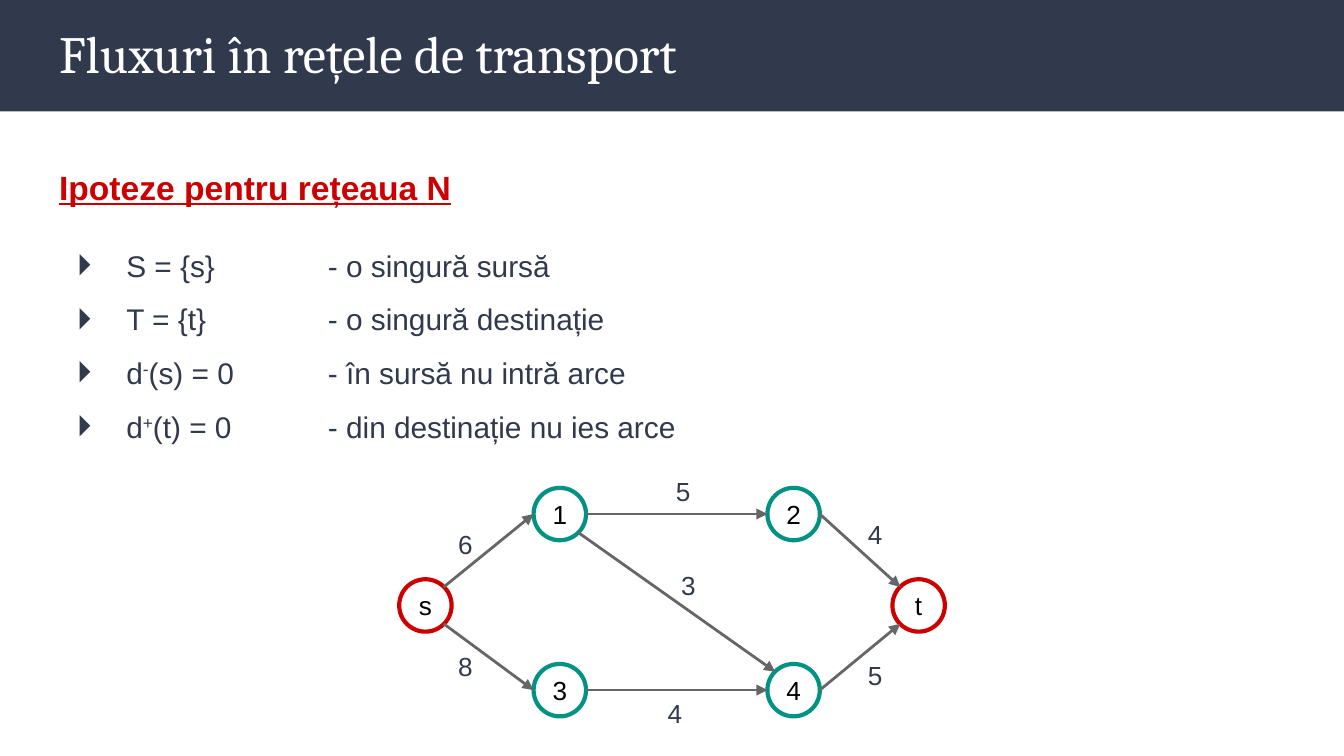
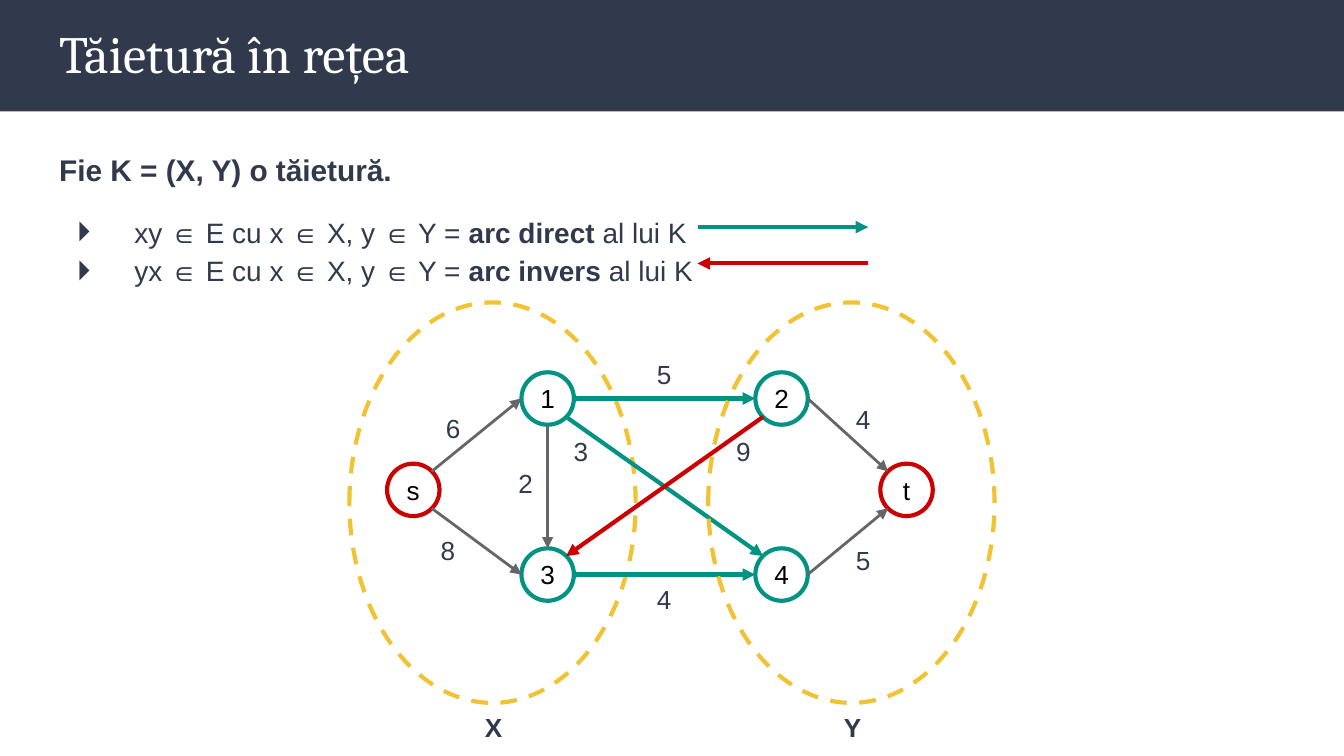
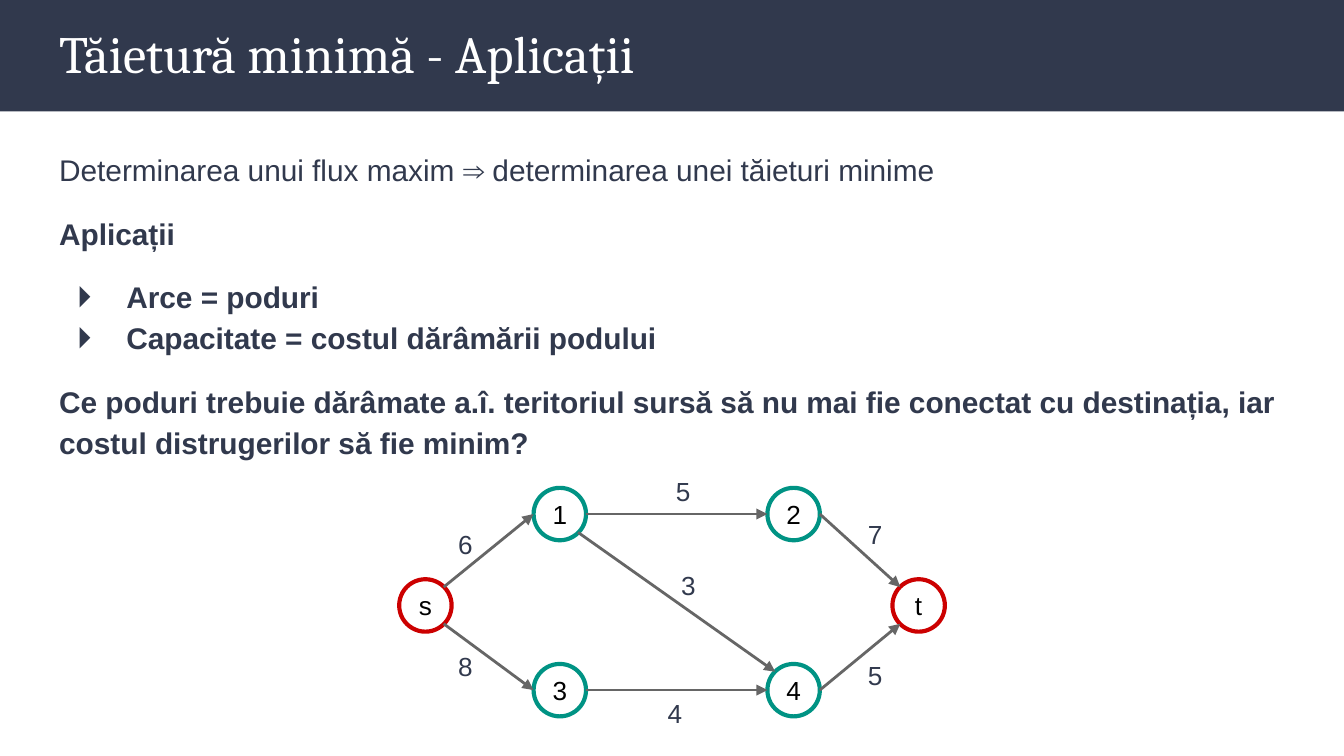
"""Build three slides on flow networks and cuts."""
import dataclasses

import pptx
import pptx.dml.color
import pptx.enum.dml
import pptx.enum.shapes
import pptx.enum.text
import pptx.oxml
import pptx.oxml.ns
import pptx.util

Inches = pptx.util.Inches
Pt = pptx.util.Pt
RGBColor = pptx.dml.color.RGBColor
Shape = pptx.enum.shapes.MSO_SHAPE
Anchor = pptx.enum.text.MSO_ANCHOR
Align = pptx.enum.text.PP_ALIGN
AutoSize = pptx.enum.text.MSO_AUTO_SIZE

NAVY = RGBColor(0x31, 0x39, 0x4D)
WHITE = RGBColor(0xFF, 0xFF, 0xFF)
BLACK = RGBColor(0, 0, 0)
RED = RGBColor(0xCC, 0, 0)
TEAL = RGBColor(0, 0x93, 0x84)
GRAY = RGBColor(0x66, 0x66, 0x66)
GOLD = RGBColor(0xF1, 0xC2, 0x32)

BODY_FONT = "Arial"
TITLE_FONT = "Cambria"
BULLET_LEFT = 0.13
NODE_SIZE = 0.39

NODES = {"s": (0, 0), "1": (1, -0.68), "2": (2.74, -0.68),
         "3": (1, 0.63), "4": (2.74, 0.63), "t": (3.67, 0)}
SITES = {"top": (0.5, 0), "bottom": (0.5, 1), "left": (0, 0.5), "right": (1, 0.5),
         "top left": (0.15, 0.15), "top right": (0.85, 0.15),
         "bottom left": (0.15, 0.85), "bottom right": (0.85, 0.85)}
ARC_ENDS = {"s1": ("top right", "left"), "s3": ("bottom right", "left"),
            "12": ("right", "left"), "34": ("right", "left"),
            "2t": ("right", "top left"), "4t": ("right", "bottom left"),
            "14": ("bottom right", "top left"), "23": ("bottom left", "top right"),
            "13": ("bottom", "top")}

TRANSPORT_ARCS = {"s1": ("6", 0.34, -0.48), "s3": ("8", 0.34, 0.43),
                  "12": ("5", 1.96, -0.87), "34": ("4", 1.9, 0.78),
                  "2t": ("4", 3.39, -0.55), "4t": ("5", 3.39, 0.5),
                  "14": ("3", 2, -0.17)}
BRIDGE_ARCS = {**TRANSPORT_ARCS, "2t": ("7", 3.39, -0.55)}
CUT_ARCS = {**TRANSPORT_ARCS, "s3": ("8", 0.3, 0.43), "12": ("5", 1.91, -0.88),
            "34": ("4", 1.91, 0.79), "14": ("3", 1.29, -0.31),
            "23": ("9", 2.5, -0.31), "13": ("2", 0.88, -0.07)}
CUT_COLORS = {"12": TEAL, "14": TEAL, "34": TEAL, "23": RED}


@dataclasses.dataclass
class Line:
    """One body paragraph; segments pair a text with 'bold', 'super' or ''."""
    segments: list
    size: float = 16
    bold: bool = False
    color: RGBColor = NAVY
    underline: bool = False
    margin: float = 0
    before: float = 0
    after: float = 0
    tab: float = 0


def style_font(font, size, color, name=BODY_FONT, bold=False):
    """Set the common properties of a font."""
    font.name = name
    font.size = Pt(size)
    font.bold = bold
    font.color.rgb = color


def set_margins(frame, inset):
    """Give a text frame the same inset on every side."""
    frame.margin_left = frame.margin_right = Inches(inset)
    frame.margin_top = frame.margin_bottom = Inches(inset)


def append_xml(parent, markup):
    """Append one DrawingML element written without its namespace."""
    tag, _, rest = markup.partition(" ")
    parent.append(pptx.oxml.parse_xml(f"<{tag} {pptx.oxml.ns.nsdecls('a')} {rest}"))


def place(placeholder, left, top, width, height):
    """Move a placeholder and return its prepared text frame."""
    placeholder.left, placeholder.top = Inches(left), Inches(top)
    placeholder.width, placeholder.height = Inches(width), Inches(height)
    frame = placeholder.text_frame
    set_margins(frame, 0.1)
    frame.word_wrap = True
    frame.auto_size = AutoSize.NONE
    frame.vertical_anchor = Anchor.TOP
    return frame


def add_band(prs, slide):
    """Put the title band on the slide master."""
    band = slide.shapes.add_shape(Shape.RECTANGLE, 0, 0, prs.slide_width, Inches(0.83))
    band.shadow.inherit = False
    band.fill.solid()
    band.fill.fore_color.rgb = NAVY
    band.line.fill.background()
    prs.slide_master.shapes.element.insert(2, band.element)


def write_line(paragraph, line, spacing):
    """Fill and format one body paragraph."""
    properties = paragraph._p.get_or_add_pPr()
    properties.set("marL", str(Inches(line.margin)))
    if line.margin:
        properties.set("indent", str(Inches(BULLET_LEFT - line.margin)))
        append_xml(properties, f'a:buClr ><a:srgbClr val="{NAVY}"/></a:buClr>')
        append_xml(properties, f'a:buFont typeface="{BODY_FONT}"/>')
        append_xml(properties, 'a:buChar char="⏵"/>')
    else:
        properties.set("indent", "0")
        append_xml(properties, "a:buNone />")
    if line.tab:
        append_xml(properties,
                   f'a:tabLst ><a:tab pos="{Inches(line.tab)}" algn="l"/></a:tabLst>')
    paragraph.line_spacing = spacing
    paragraph.space_before = Pt(line.before)
    paragraph.space_after = Pt(line.after)
    style_font(paragraph.font, line.size, line.color, bold=line.bold)
    paragraph.font.underline = line.underline
    for text, emphasis in line.segments:
        run = paragraph.add_run()
        run.text = text
        if emphasis == "bold":
            run.font.bold = True
        elif emphasis == "super":
            run._r.get_or_add_rPr().set("baseline", "30000")


def add_slide(prs, title, lines, spacing, body_height=4.51):
    """Add a slide with its title and body text."""
    slide = prs.slides.add_slide(prs.slide_layouts[1])
    heading = place(slide.shapes.title, 0.34, 0.06, 9.32, 0.68)
    heading.text = title
    heading.paragraphs[0].alignment = Align.LEFT
    style_font(heading.paragraphs[0].font, 28, WHITE, TITLE_FONT)
    body = place(slide.placeholders[1], 0.34, 0.99, 9.32, body_height)
    for index, line in enumerate(lines):
        paragraph = body.add_paragraph() if index else body.paragraphs[0]
        write_line(paragraph, line, spacing)
    return slide


def add_ellipse(shapes, left, top, width, height, color):
    """Add an unfilled outlined ellipse."""
    ellipse = shapes.add_shape(Shape.OVAL, Inches(left), Inches(top),
                               Inches(width), Inches(height))
    ellipse.shadow.inherit = False
    ellipse.fill.background()
    ellipse.line.color.rgb = color
    ellipse.line.width = Pt(2.25)
    return ellipse


def add_node(shapes, name, left, top):
    """Add a named network node."""
    color = RED if name in "st" else TEAL
    node = add_ellipse(shapes, left, top, NODE_SIZE, NODE_SIZE, color)
    frame = node.text_frame
    set_margins(frame, 0.02)
    frame.vertical_anchor = Anchor.MIDDLE
    frame.text = name
    frame.paragraphs[0].alignment = Align.CENTER
    style_font(frame.paragraphs[0].font, 14, BLACK)


def add_arrow(shapes, start, end, color):
    """Add an arrow; coloured ones are heavier than gray ones."""
    arrow = shapes.add_connector(pptx.enum.shapes.MSO_CONNECTOR.STRAIGHT,
                                 *map(Inches, start + end))
    arrow.line.color.rgb = color
    arrow.line.width = Pt(1.5 if color == GRAY else 2.25)
    append_xml(arrow.line._get_or_add_ln(), 'a:tailEnd type="triangle"/>')
    append_xml(arrow._element.spPr, "a:effectLst />")


def add_label(shapes, text, left, top, bold=False):
    """Add a short label."""
    label = shapes.add_textbox(Inches(left), Inches(top), Inches(0.33), Inches(0.44))
    frame = label.text_frame
    set_margins(frame, 0.1)
    frame.word_wrap = True
    frame.auto_size = AutoSize.SHAPE_TO_FIT_TEXT
    frame.text = text
    style_font(frame.paragraphs[0].font, 14, NAVY, bold=bold)


def add_network(shapes, left, top, arcs, colors):
    """Draw the network with node s at the given corner."""
    for name, (dx, dy) in NODES.items():
        add_node(shapes, name, left + dx, top + dy)

    def site_point(name, site):
        """Locate a connection site on a node."""
        return tuple(corner + offset + NODE_SIZE * share for corner, offset, share
                     in zip((left, top), NODES[name], SITES[site]))

    for arc, (capacity, dx, dy) in arcs.items():
        start, end = map(site_point, arc, ARC_ENDS[arc])
        add_arrow(shapes, start, end, colors.get(arc, GRAY))
        add_label(shapes, capacity, left + dx, top + dy)


def add_cut_side(shapes, name, left):
    """Outline and name one side of the cut."""
    side = add_ellipse(shapes, left, 2.25, 2.13, 2.98, GOLD)
    side.line.dash_style = pptx.enum.dml.MSO_LINE.DASH
    add_label(shapes, name, left + 0.91, 5.19, bold=True)


def hypotheses_slide(prs):
    """Build the slide on network hypotheses."""
    conditions = [
        [("S = {s}\t- o singură sursă", "")],
        [("T = {t}\t- o singură destinație", "")],
        [("d", ""), ("-", "super"), ("(s) = 0\t- în sursă nu intră arce", "")],
        [("d", ""), ("+", "super"), ("(t) = 0 \t- din destinație nu ies arce", "")],
    ]
    lines = [Line([("Ipoteze pentru rețeaua N", "")], 18, True, RED, True)]
    lines += [Line(segments, margin=0.5, tab=2, before=0 if index else 12)
              for index, segments in enumerate(conditions)]
    slide = add_slide(prs, "Fluxuri în rețele de transport", lines, 1.5, 4.11)
    add_band(prs, slide)
    add_network(slide.shapes.add_group_shape().shapes, 2.97, 4.31, TRANSPORT_ARCS, {})


def cut_slide(prs):
    """Build the slide on direct and reverse arcs of a cut."""
    lines = [Line([("Fie K = (X, Y) o tăietură.", "")], bold=True)]
    for arc, kind, before in (("xy", "arc direct", 12), ("yx", "arc invers", 0)):
        lines.append(Line([(f"{arc} ∈ E cu x ∈ X, y ∈ Y = ", ""), (kind, "bold"),
                           (" al lui K", "")], size=15, margin=0.56, before=before))
    shapes = add_slide(prs, "Tăietură în rețea", lines, 1.15).shapes
    add_arrow(shapes, (5.19, 1.69), (6.46, 1.69), TEAL)
    add_arrow(shapes, (6.46, 1.96), (5.19, 1.96), RED)
    add_cut_side(shapes, "X", 2.6)
    add_network(shapes, 2.88, 3.45, CUT_ARCS, CUT_COLORS)
    add_cut_side(shapes, "Y", 5.27)


def applications_slide(prs):
    """Build the slide on minimum cut applications."""
    question = ("Ce poduri trebuie dărâmate a.î. teritoriul sursă să nu mai fie conectat "
                "cu destinația, iar costul distrugerilor să fie minim?")
    lines = [
        Line([("Determinarea unui flux maxim ⇒ determinarea unei tăieturi minime", "")]),
        Line([("Aplicații", "")], bold=True, before=12),
        Line([("Arce = poduri", "")], bold=True, margin=0.5, before=12),
        Line([("Capacitate = costul dărâmării podului", "")], bold=True, margin=0.5),
        Line([(question, "")], bold=True, before=12, after=12),
    ]
    slide = add_slide(prs, "Tăietură minimă - Aplicații", lines, 1.15)
    add_network(slide.shapes.add_group_shape().shapes, 2.97, 4.31, BRIDGE_ARCS, {})


def main():
    """Build and save the presentation."""
    prs = pptx.Presentation()
    prs.slide_width = Inches(10)
    prs.slide_height = prs.slide_width * 9 // 16
    hypotheses_slide(prs)
    cut_slide(prs)
    applications_slide(prs)
    prs.save("out.pptx")


if __name__ == "__main__":
    main()
